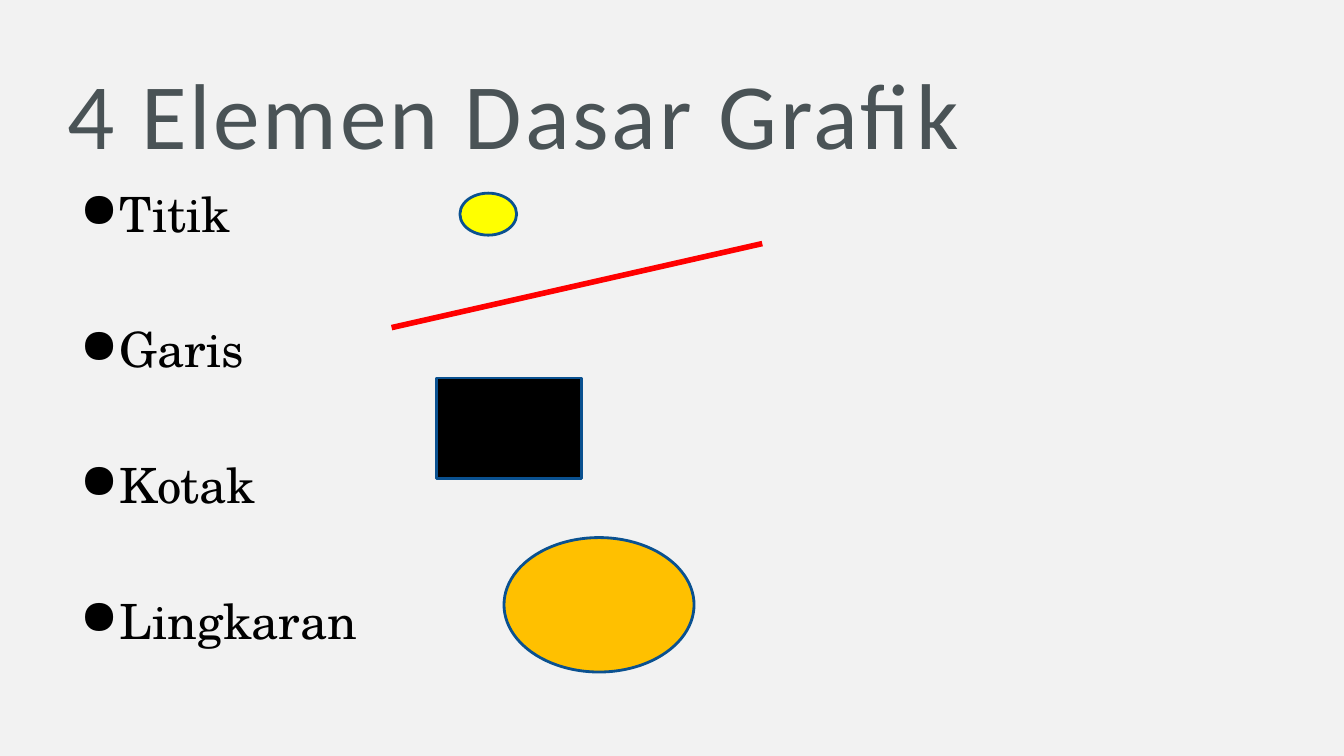
from lxml import etree
from pptx import Presentation
from pptx import util as u
from pptx.dml.color import RGBColor
from pptx.enum import shapes, text
from pptx.oxml import ns

PX = 9525
EDGE = "0A5190"
BLACK = "000000"


def px(*nums):
    return [u.Emu(n * PX) for n in nums]


def tint(code):
    return RGBColor.from_string(code)


def add_box(slide, area, pads, anchor):
    frame = slide.shapes.add_textbox(*px(*area)).text_frame
    frame.word_wrap = True
    frame.auto_size = text.MSO_AUTO_SIZE.NONE
    frame.vertical_anchor = anchor
    side, top, base = px(*pads)
    frame.margin_left = frame.margin_right = side
    frame.margin_top, frame.margin_bottom = top, base
    return frame


def add_run(para, words, face, size, code):
    run = para.add_run()
    run.text = words
    font = run.font
    font.name, font.size = face, u.Pt(size)
    font.color.rgb = tint(code)
    return run


def add_title(slide, words):
    frame = add_box(slide, (64, 64, 1152, 98), (0, 7, 0),
                    text.MSO_ANCHOR.BOTTOM)
    para = frame.paragraphs[0]
    para.line_spacing = 0.9
    run = add_run(para, words, "Calibri", 66.7, "4A5356")
    run.font._element.set("spc", "200")


def add_bullet(para, code):
    props = para._p.get_or_add_pPr()
    indent = 38 * PX
    props.set("marL", str(indent))
    props.set("indent", str(-indent))
    color = etree.SubElement(props, ns.qn("a:buClr"))
    etree.SubElement(color, ns.qn("a:srgbClr"), val=code)
    etree.SubElement(props, ns.qn("a:buChar"), char="●")


def add_list(slide, items):
    frame = add_box(slide, (64, 168, 426, 475), (12, 7, 7),
                    text.MSO_ANCHOR.TOP)
    for i, item in enumerate(items):
        para = frame.add_paragraph() if i else frame.paragraphs[0]
        add_bullet(para, BLACK)
        if i:
            para.space_before = u.Pt(55.3)
        add_run(para, item, "TeX Gyre Schola", 34.7, BLACK)


def add_form(slide, kind, area, code):
    form = slide.shapes.add_shape(kind, *px(*area))
    form.shadow.inherit = False
    form.fill.solid()
    form.fill.fore_color.rgb = tint(code)
    form.line.color.rgb = tint(EDGE)
    form.line.width = u.Pt(2)


def add_line(slide, ends, code, width):
    line = slide.shapes.add_connector(shapes.MSO_CONNECTOR.STRAIGHT, *px(*ends))
    line.line.color.rgb = tint(code)
    line.line.width = u.Pt(width)
    etree.SubElement(line._element.spPr, ns.qn("a:effectLst"))


def main():
    deck = Presentation()
    deck.slide_width, deck.slide_height = px(1280, 720)
    slide = deck.slides.add_slide(deck.slide_layouts[6])
    back = slide.background.fill
    back.solid()
    back.fore_color.rgb = tint("F2F2F2")

    add_title(slide, "4 Elemen Dasar Grafik")
    add_list(slide, ["Titik", "Garis", "Kotak", "Lingkaran"])

    kinds = shapes.MSO_SHAPE
    add_form(slide, kinds.FLOWCHART_CONNECTOR, (438, 184, 54, 40), "FFFF00")
    add_line(slide, (373, 312, 726, 232), "FF0000", 4)
    add_form(slide, kinds.RECTANGLE, (416, 360, 138, 96), BLACK)
    add_form(slide, kinds.FLOWCHART_CONNECTOR, (480, 512, 181, 128), "FFC000")
    deck.save("out.pptx")


if __name__ == "__main__":
    main()
